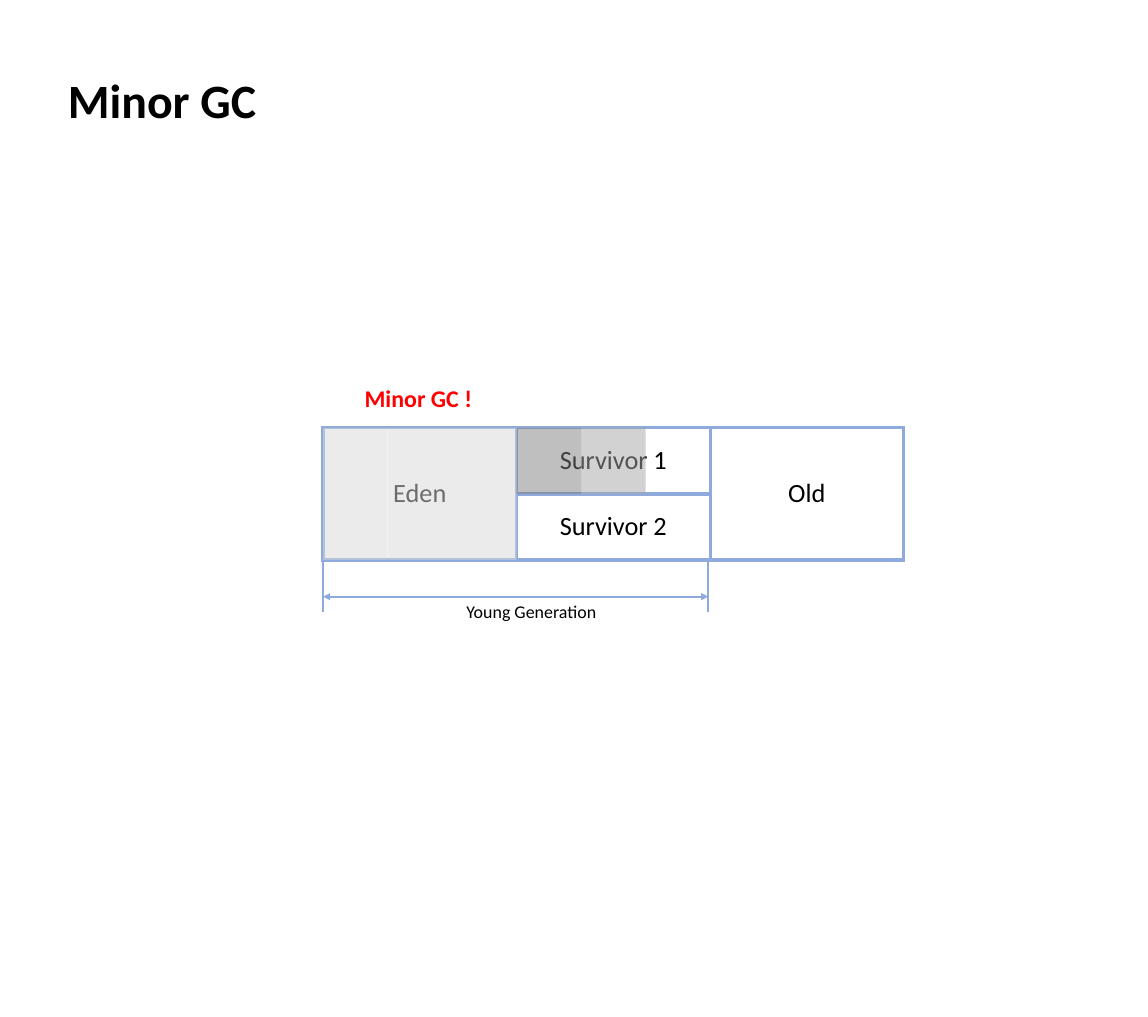
"""Build a slide that shows a minor GC in the young generation."""
from lxml import etree
from pptx import Presentation
from pptx.dml.color import RGBColor
from pptx.enum import shapes, text
from pptx.oxml import ns
from pptx.util import Cm, Pt

BLACK = RGBColor(0x00, 0x00, 0x00)
RED = RGBColor(0xFF, 0x00, 0x00)
BLUE = RGBColor(0x8F, 0xAA, 0xDC)
DARK = RGBColor(0x80, 0x80, 0x80)
MEDIUM = RGBColor(0xA6, 0xA6, 0xA6)
LIGHT = RGBColor(0xD9, 0xD9, 0xD9)

LEFT, TOP = 9.53, 12.62
COL, ROW = 5.71, 1.95
BLOCK = COL / 3
RIGHT = 20.9


def write(tf, words, size=22, color=BLACK, bold=False, align=text.PP_ALIGN.LEFT):
    tf.word_wrap = False
    p = tf.paragraphs[0]
    p.alignment = align
    r = p.add_run()
    r.text = words
    r.font.name = "Calibri"
    r.font.size = Pt(size)
    r.font.bold = bold
    r.font.color.rgb = color


prs = Presentation()
prs.slide_width, prs.slide_height = Cm(33.87), Cm(30)
s = prs.slides.add_slide(prs.slide_layouts[5])

title = s.shapes.title
title.left, title.top, title.width, title.height = Cm(1.75), Cm(1.96), Cm(6.12), Cm(1.96)
title.text_frame.vertical_anchor = text.MSO_ANCHOR.TOP
title.text_frame.auto_size = text.MSO_AUTO_SIZE.SHAPE_TO_FIT_TEXT
write(title.text_frame, "Minor GC", size=40, bold=True)

heap = s.shapes.add_table(2, 3, Cm(LEFT), Cm(TOP), Cm(3 * COL), Cm(2 * ROW)).table
heap.first_row = heap.horz_banding = False
for col in heap.columns:
    col.width = Cm(COL)
for row in heap.rows:
    row.height = Cm(ROW)
for c in (0, 2):
    heap.cell(0, c).merge(heap.cell(1, c))
for cell in heap.iter_cells():
    cell.fill.background()
    cell.vertical_anchor = text.MSO_ANCHOR.MIDDLE
    cell.margin_left = cell.margin_right = Cm(0.36)
    cell.margin_top = cell.margin_bottom = Cm(0.18)
    tcPr = cell._tc.get_or_add_tcPr()
    for i, side in enumerate(("a:lnL", "a:lnR", "a:lnT", "a:lnB")):
        ln = etree.Element(ns.qn(side), w=str(Pt(3)))
        fill = etree.SubElement(ln, ns.qn("a:solidFill"))
        etree.SubElement(fill, ns.qn("a:srgbClr"), val=str(BLUE))
        tcPr.insert(i, ln)
for r, c, name in ((0, 0, "Eden"), (0, 1, "Survivor 1"), (1, 1, "Survivor 2"), (0, 2, "Old")):
    write(heap.cell(r, c).text_frame, name, align=text.PP_ALIGN.CENTER)

for x1, y1, x2, y2, arrow in (
    (LEFT, 16.59, LEFT, 18.06, False),
    (RIGHT, 16.59, RIGHT, 18.06, False),
    (LEFT, 17.6, RIGHT, 17.6, True),
):
    line = s.shapes.add_connector(shapes.MSO_CONNECTOR.STRAIGHT, Cm(x1), Cm(y1), Cm(x2), Cm(y2))
    line.line.color.rgb = BLUE
    line.line.width = Pt(1.5)
    if arrow:
        for end in ("a:headEnd", "a:tailEnd"):
            etree.SubElement(line.line._get_or_add_ln(), ns.qn(end), type="triangle")
    etree.SubElement(line._element.spPr, ns.qn("a:effectLst"))

for i, (color, rows) in enumerate(((LIGHT, 2), (LIGHT, 2), (LIGHT, 2), (DARK, 1), (MEDIUM, 1))):
    block = s.shapes.add_shape(shapes.MSO_SHAPE.RECTANGLE, Cm(LEFT + i * BLOCK), Cm(TOP),
                               Cm(BLOCK), Cm(rows * ROW))
    block.shadow.inherit = False
    block.line.fill.background()
    block.fill.solid()
    block.fill.fore_color.rgb = color
    clr = block._element.spPr.find(".//" + ns.qn("a:srgbClr"))
    etree.SubElement(clr, ns.qn("a:alpha"), val="50000")

for x, y, w, h, words, style in (
    (13.51, 17.58, 4.4, 0.89, "Young Generation", dict(size=15)),
    (10.49, 11.2, 3.71, 1.12, "Minor GC !",
     dict(size=20, color=RED, bold=True, align=text.PP_ALIGN.CENTER)),
):
    tf = s.shapes.add_textbox(Cm(x), Cm(y), Cm(w), Cm(h)).text_frame
    tf.auto_size = text.MSO_AUTO_SIZE.SHAPE_TO_FIT_TEXT
    write(tf, words, **style)

prs.save("out.pptx")
